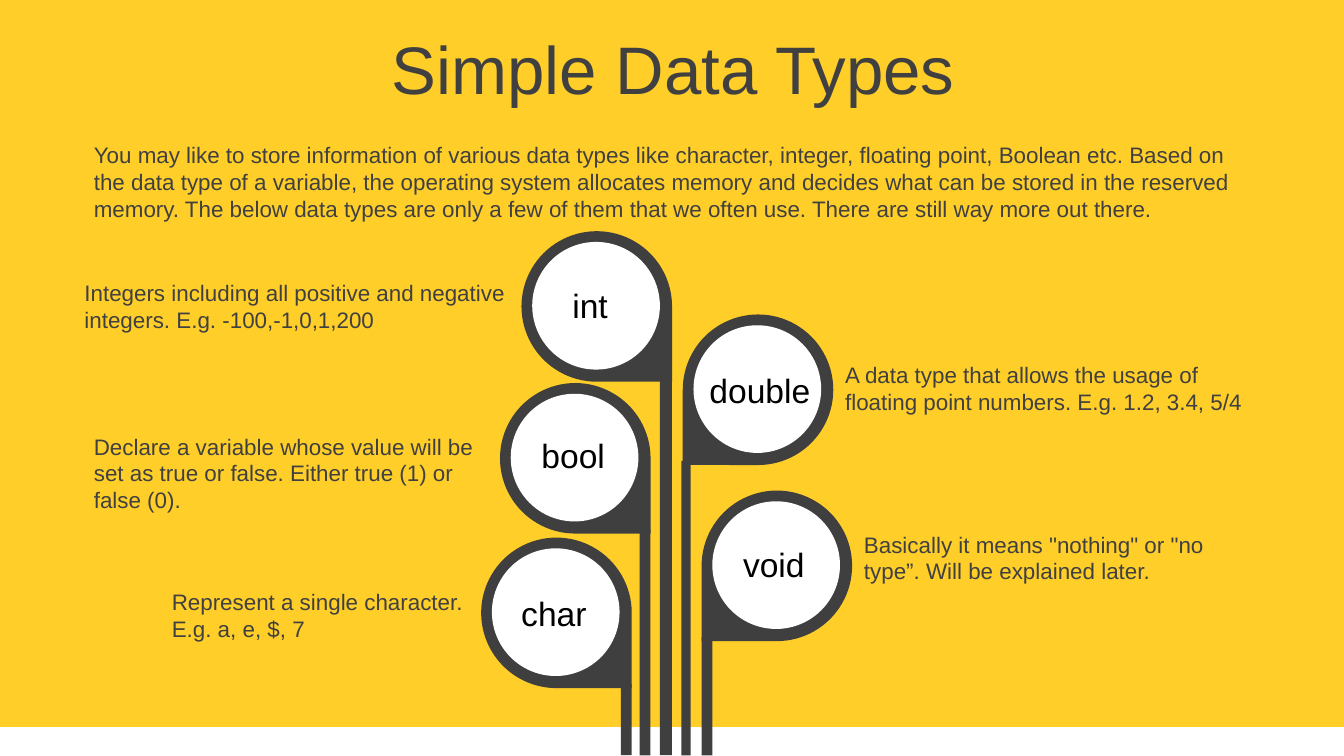
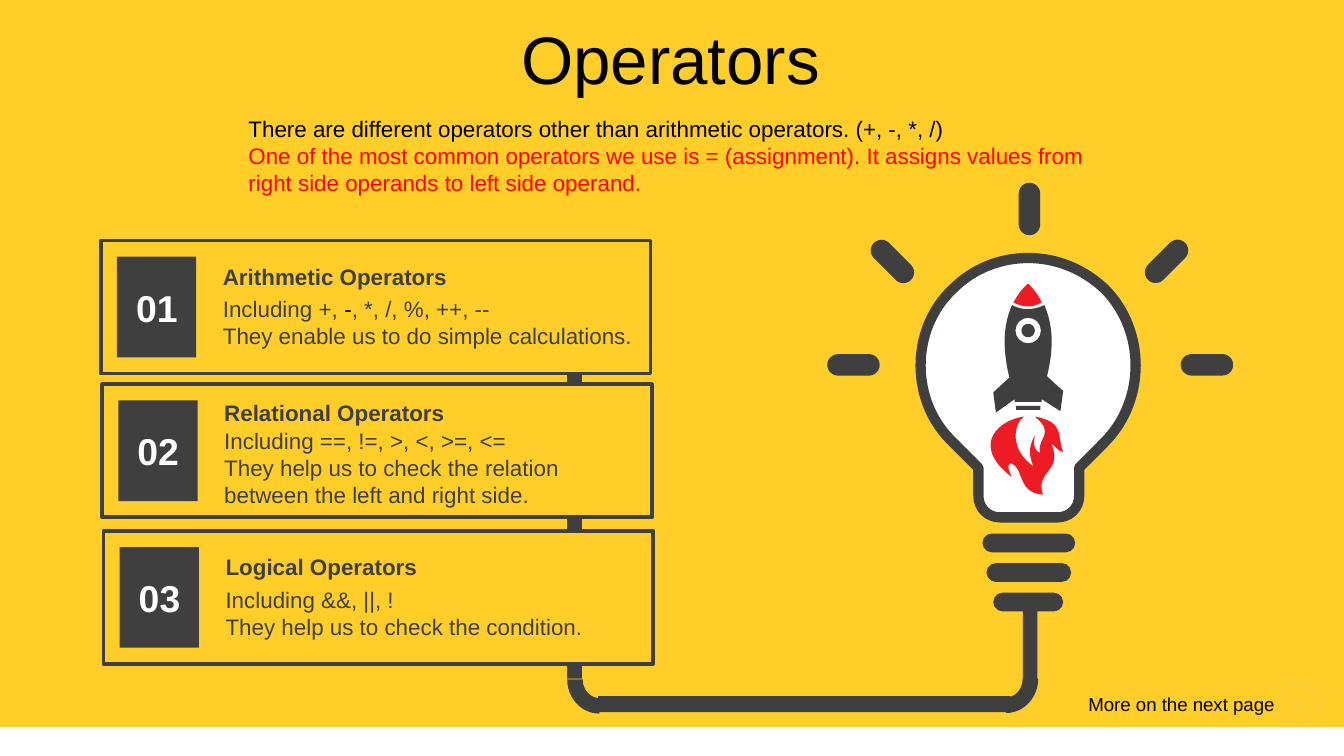
from pptx import Presentation
from pptx.dml.color import RGBColor
from pptx.enum.shapes import MSO_SHAPE as SHAPE
from pptx.enum.text import MSO_ANCHOR as ANCHOR, PP_ALIGN as ALIGN
from pptx.oxml.ns import qn
from pptx.util import Pt

SCALE = 9144  # EMU per px, 100 px to the inch
WIDTH, BOTTOM = 1000, 562
YELLOW, DARK, TEXT_GREY = "FFCE29", "3F3F3F", "404040"
WHITE, BLACK, RED, FLAME = "FFFFFF", "000000", "FF0000", "ED1C24"
FONT = "Arial"


def px(value):
    return round(value * SCALE)


def color(hex_value):
    return RGBColor.from_string(hex_value)


def paint(shape, fill, line=None, line_width=2):
    shape.shadow.inherit = False
    shape.fill.solid()
    shape.fill.fore_color.rgb = color(fill)
    if line:
        shape.line.color.rgb = color(line)
        shape.line.width = Pt(line_width)
    else:
        shape.line.fill.background()


def add_block(slide, box, fill=DARK, kind=SHAPE.RECTANGLE, rotation=0,
              adjust=(), line=None):
    shape = slide.shapes.add_shape(kind, *map(px, box))
    shape.rotation = rotation
    for index, value in enumerate(adjust):
        shape.adjustments[index] = value
    paint(shape, fill, line)


def write(frame, paragraphs, size=12, hue=TEXT_GREY, bold=False,
          align=ALIGN.LEFT):
    """Each paragraph is a string or a list of (text, colour) runs."""
    frame.word_wrap = True
    for index, content in enumerate(paragraphs):
        paragraph = frame.add_paragraph() if index else frame.paragraphs[0]
        paragraph.alignment = align
        runs = [(content, hue)] if isinstance(content, str) else content
        for words, run_hue in runs:
            run = paragraph.add_run()
            run.text = words
            run.font.name, run.font.size = FONT, Pt(size)
            run.font.bold = bold
            run.font.color.rgb = color(run_hue)


def add_text(slide, box, *paragraphs, **text_format):
    frame = slide.shapes.add_textbox(*map(px, box)).text_frame
    write(frame, paragraphs, **text_format)


def circle(x, y, r):
    k = 0.55 * r
    return [(x, y - r),
            (x + k, y - r, x + r, y - k, x + r, y),
            (x + r, y + k, x + k, y + r, x, y + r),
            (x - k, y + r, x - r, y + k, x - r, y),
            (x - r, y - k, x - k, y - r, x, y - r)]


def bend_curves(outline, contours):
    """Merge the three segments of each six-number piece into one curve."""
    nodes = iter(list(outline))
    for contour in contours:
        next(nodes)  # start of the contour
        for piece in contour[1:]:
            segment = next(nodes)
            if len(piece) == 6:
                segment.tag = qn("a:cubicBezTo")
                for _ in range(2):
                    extra = next(nodes)
                    segment.append(extra[0])
                    outline.remove(extra)
        next(nodes)  # close of the contour


def add_outline(slide, origin, contours, fill, line=None, line_width=2):
    """Contours hold (x, y) points and six-number Bezier pieces."""
    left, top = origin
    builder = None
    for contour in contours:
        points = [(px(left + piece[i]), px(top + piece[i + 1]))
                  for piece in contour for i in range(0, len(piece), 2)]
        if builder is None:
            builder = slide.shapes.build_freeform(*points[0], scale=1)
        else:
            builder.move_to(*points[0])
        builder.add_line_segments(points[1:], close=True)
    shape = builder.convert_to_shape()
    bend_curves(next(shape.element.iter(qn("a:path"))), contours)
    paint(shape, fill, line, line_width)


def add_slide(deck, title, box, hue):
    slide = deck.slides.add_slide(deck.slide_layouts[5])
    add_block(slide, (0, 541, WIDTH, 24), WHITE)
    heading = slide.shapes.title
    heading.left, heading.top, heading.width, heading.height = map(px, box)
    frame = heading.text_frame
    frame.vertical_anchor = ANCHOR.MIDDLE
    frame.margin_left = frame.margin_right = px(10)
    frame.margin_top = frame.margin_bottom = px(10)
    write(frame, [title], size=36, hue=hue, align=ALIGN.CENTER)
    return slide


# Data type tree
def add_pin(slide, x, y, rotation):
    size, rim, hole = 112, 8, 95
    add_block(slide, (x, y, size, size), kind=SHAPE.TEAR, rotation=rotation,
              adjust=(1,))
    add_block(slide, (x + rim, y + rim, hole, hole), WHITE, SHAPE.OVAL)


def add_stem(slide, x, pin_y, width):
    top = pin_y + 109
    add_block(slide, (x, top, width, BOTTOM - top))


def build_data_types(deck):
    slide = add_slide(deck, "Simple Data Types", (2, 18, 998, 64), TEXT_GREY)
    add_text(slide, (60, 100, 878, 71),
             "You may like to store information of various data types like character, "
             "integer, floating point, Boolean etc. Based on the data type of a variable, "
             "the operating system allocates memory and decides what can be stored in the "
             "reserved memory. The below data types are only a few of them that we often "
             "use. There are still way more out there.")
    # Pin position and turn, stem left and width, label and box, description
    data_types = [
        (388, 172, 90, 491, 9, "int", (416, 207, 98, 40), (53, 203, 335, 50),
         ["Integers including all positive and negative integers. E.g. -100,-1,0,1,200"]),
        (372, 285, 90, 476, 8, "bool", (393, 319, 98, 40), (60, 317, 321, 71),
         ["Declare a variable whose value will be set as true or false. "
          "Either true (1) or false (0)."]),
        (358, 400, 90, 462, 8, "char", (378, 436, 115, 40), (118, 433, 239, 50),
         ["Represent a single character.", "E.g. a, e, $, 7"]),
        (508, 234, 180, 507, 7, "double", (518, 270, 168, 40), (619, 264, 333, 50),
         ["A data type that allows the usage of floating point numbers. E.g. 1.2, 3.4, 5/4"]),
        (522, 365, 180, 522, 8, "void", (543, 400, 68, 40), (633, 390, 279, 50),
         ['Basically it means "nothing" or "no type”. Will be explained later.']),
    ]
    for x, y, turn, stem_x, stem_width, label, label_box, box, description in data_types:
        add_pin(slide, x, y, turn)
        add_stem(slide, stem_x, y, stem_width)
        add_text(slide, label_box, label, size=18, hue=BLACK)
        add_text(slide, box, *description)


# Operator cards and bulb
def add_cable(slide, x, y):
    bend = (54, 108, 0.24)
    add_block(slide, (x, y, 11, 311))
    add_block(slide, (x, y + 286, 48, 51), kind=SHAPE.BLOCK_ARC, adjust=bend)
    add_block(slide, (x + 23, y + 324, 307, 12))
    add_block(slide, (x + 301, y + 287, 51, 48), kind=SHAPE.BLOCK_ARC,
              rotation=270, adjust=bend)
    add_block(slide, (x + 339, y + 248, 11, 65))


def add_card(slide, x, y, number, heading, body, heading_dy, body_dy):
    add_block(slide, (x, y, 409, 99), YELLOW, line=DARK)
    add_block(slide, (x + 12, y + 12, 59, 75))
    add_text(slide, (x + 81, y + body_dy, 325, 50), *body, hue=DARK)
    add_text(slide, (x + 81, y + heading_dy, 315, 30), heading, hue=DARK, bold=True)
    add_text(slide, (x + 16, y + 28, 51, 44), number, size=20, hue=WHITE,
             bold=True, align=ALIGN.RIGHT)


def add_bulb(slide, x, y):
    """Place the bulb, its base and its rays around the centre of the glass."""
    glass = [(0, -80), (21, -80, 41, -72, 57, -57), (72, -42, 80, -21, 80, 0),
             (80, 21, 72, 42, 57, 57),
             (38, 76), (38, 97), (38, 106, 31, 113, 22, 113),
             (-21, 113), (-30, 113, -37, 106, -37, 97), (-37, 76), (-56, 57),
             (-72, 42, -80, 21, -80, 0), (-80, -21, -72, -42, -56, -57),
             (-41, -72, -21, -80, 0, -80)]
    add_outline(slide, (x, y), [glass], WHITE, DARK, 5.5)
    for row, width in enumerate((69, 63, 52)):
        add_block(slide, (x - width // 2, y + 125 + 22 * row, width, 14),
                  kind=SHAPE.ROUNDED_RECTANGLE, adjust=(0.5,))
    rays = [(-138, -20, 270), (-109, -97, 315), (-7, -136, 0),
            (95, -97, 45), (125, -20, 90)]
    for dx, dy, angle in rays:
        add_block(slide, (x + dx, y + dy, 16, 39), kind=SHAPE.ROUNDED_RECTANGLE,
                  rotation=angle, adjust=(0.5,))


def add_rocket(slide, x, y):
    """Place the rocket with the tip of its nose at x, y."""
    hull = [(-12, 16), (-5, 20, 4, 20, 12, 16), (20, 34, 18, 53, 14, 69),
            (26, 80), (24, 95), (10, 86), (10, 88), (-10, 88), (-10, 86),
            (-24, 96), (-26, 81), (-14, 70), (-18, 53, -20, 34, -12, 16)]
    nozzle = [(-9, 91), (9, 91), (9, 94), (-9, 94)]
    nose = [(0, 0), (4, 4, 8, 9, 10, 14), (4, 18, -4, 18, -11, 14),
            (-8, 9, -5, 4, 0, 0)]
    flame = [(-3, 99), (-11, 104, -14, 124, 4, 136), (-1, 125, 2, 119, 5, 113),
             (5, 116, 2, 123, 9, 126), (6, 115, 21, 112, 5, 99),
             (28, 103, 21, 114, 26, 125), (22, 126, 17, 116, 18, 121),
             (25, 140, 5, 140, 11, 157), (-8, 156, -3, 138, -12, 134),
             (-14, 133, -17, 135, -12, 144), (-44, 120, -21, 101, -3, 99)]
    porthole = [circle(0, 35, 9.5), circle(0, 35, 5)]
    add_outline(slide, (x, y), [hull, *porthole, nozzle], DARK)
    add_outline(slide, (x, y), [nose], FLAME)
    add_outline(slide, (x, y), [flame], FLAME)


def add_next_page_note(slide, x, y):
    add_text(slide, (x, y, 166, 27), "More on the next page", size=10, hue=BLACK)
    arrow = [(-4, -7), (8, 0), (-4, 8)]
    add_outline(slide, (x + 166, y + 13),
                [circle(0, 0, 17), circle(0, 0, 13.5), arrow], "FBCE32")


def build_operators(deck):
    slide = add_slide(deck, "Operators", (0, 11, 998, 64), BLACK)
    add_cable(slide, 422, 194)
    cards = [
        (75, 179, "01", "Arithmetic Operators",
         [[("Including +, ", DARK), ("-", BLACK), (", *, /, %, ++, --", DARK)],
          "They enable us to do simple calculations."], 12, 36),
        (76, 286, "02", "Relational Operators",
         ["Including ==, !=, >, <, >=, <=",
          "They help us to check the relation between the left and right side."], 6, 27),
        (77, 395, "03", "Logical Operators",
         ["Including &&, ||, !", "They help us to check the condition."], 12, 36),
    ]
    for card in cards:
        add_card(slide, *card)
    add_bulb(slide, 765, 272)
    add_rocket(slide, 765, 211)
    add_next_page_note(slide, 800, 511)
    add_text(slide, (175, 81, 648, 71),
             "There are different operators other than arithmetic operators. (+, -, *, /)",
             [("One of the most common operators we use is = (assignment). It assigns "
               "values from right side operands to left side operand.", RED)],
             hue=BLACK)


def main():
    deck = Presentation()
    deck.slide_width = px(WIDTH)
    deck.slide_height = px(WIDTH) * 9 // 16
    backdrop = deck.slide_master.background.fill
    backdrop.solid()
    backdrop.fore_color.rgb = color(YELLOW)
    build_data_types(deck)
    build_operators(deck)
    deck.save("out.pptx")


if __name__ == "__main__":
    main()
